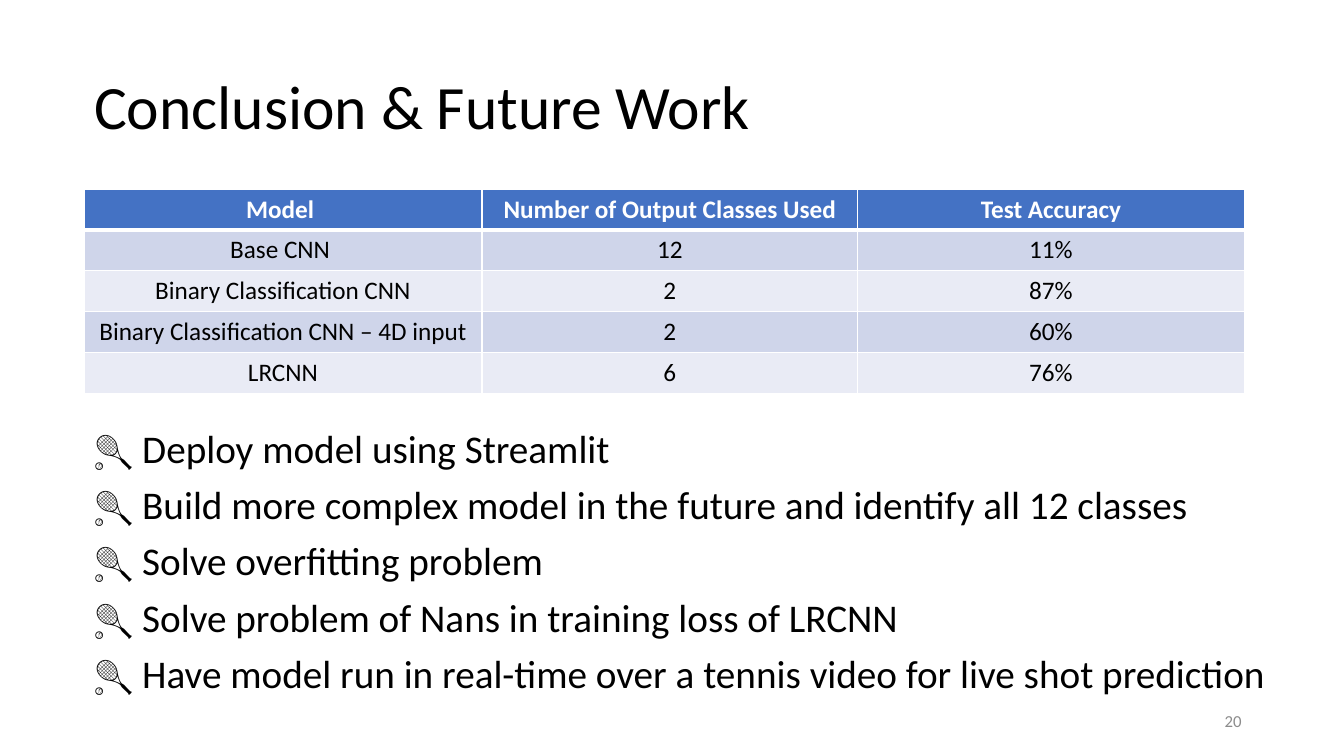
from lxml.etree import SubElement as Sub
from pptx import Presentation
from pptx.dml.color import RGBColor
from pptx.enum.text import MSO_ANCHOR as Anchor, PP_ALIGN as Align
from pptx.oxml.ns import qn
from pptx.util import Pt

PX = 9525  # EMU in one px, at 96 px to the inch


def add_run(par, text, size, color="000000", bold=False):
    run = par.add_run()
    run.text = text
    font = run.font
    font.name, font.size, font.bold = "Calibri", Pt(size), bold
    font.color.rgb = RGBColor.from_string(color)


def add_edge(cell, side, width):
    line = Sub(cell._tc.get_or_add_tcPr(), qn("a:ln" + side), w=str(Pt(width)))
    fill = Sub(line, qn("a:solidFill"))
    Sub(fill, qn("a:srgbClr"), val="FFFFFF")


prs = Presentation()
prs.slide_width, prs.slide_height = 1280 * PX, 720 * PX
slide = prs.slides.add_slide(prs.slide_layouts[5])
shapes = slide.shapes

# Title
title = shapes.title
title.left, title.top, title.width, title.height = [n * PX for n in (80, 35, 1104, 139)]
frame = title.text_frame
frame.word_wrap = True
frame.vertical_anchor = Anchor.MIDDLE
par = frame.paragraphs[0]
par.alignment, par.line_spacing = Align.LEFT, 0.9
add_run(par, "Conclusion & Future Work", 44)

# Results table
rows = [
    ("Model ", "Number of Output Classes Used", "Test Accuracy"),
    ("Base CNN ", "12", "11%"),
    ("Binary Classification CNN", "2", "87%"),
    ("Binary Classification CNN – 4D input", "2", "60%"),
    ("LRCNN", "6", "76%"),
]
widths = [379, 358, 368]
high = 39
table = shapes.add_table(
    len(rows), len(widths), 80 * PX, 180 * PX, sum(widths) * PX, len(rows) * high * PX
).table
for col, width in zip(table.columns, widths):
    col.width = width * PX
for r, row in enumerate(rows):
    table.rows[r].height = high * PX
    head = r == 0
    back = "4472C4" if head else ("E9EBF5", "CFD5EA")[r % 2]
    for c, text in enumerate(row):
        cell = table.cell(r, c)
        # Edges come before the fill in the cell's XML
        for side in "LRTB":
            thick = (r, side) in ((0, "B"), (1, "T"))
            add_edge(cell, side, 3 if thick else 1)
        cell.fill.solid()
        cell.fill.fore_color.rgb = RGBColor.from_string(back)
        par = cell.text_frame.paragraphs[0]
        par.alignment = Align.CENTER
        add_run(par, text, 18, "FFFFFF" if head else "000000", head)

# Future work list
tasks = [
    "Deploy model using Streamlit",
    "Build more complex model in the future and identify all 12 classes",
    "Solve overfitting problem",
    "Solve problem of Nans in training loss of LRCNN",
    "Have model run in real-time over a tennis video for live shot prediction",
]
frame = shapes.add_textbox(80 * PX, 404 * PX, 1161 * PX, 295 * PX).text_frame
frame.word_wrap = True
for i, task in enumerate(tasks):
    par = frame.add_paragraph() if i else frame.paragraphs[0]
    par.line_spacing, par.space_before = 0.9, Pt(10)
    add_run(par, "🎾 " + task, 28)

# Slide number
frame = shapes.add_textbox(904 * PX, 667 * PX, 288 * PX, 38 * PX).text_frame
frame.word_wrap = True
frame.vertical_anchor = Anchor.MIDDLE
par = frame.paragraphs[0]
par.alignment = Align.RIGHT
add_run(par, "20", 12, "8C8C8C")

prs.save("out.pptx")
